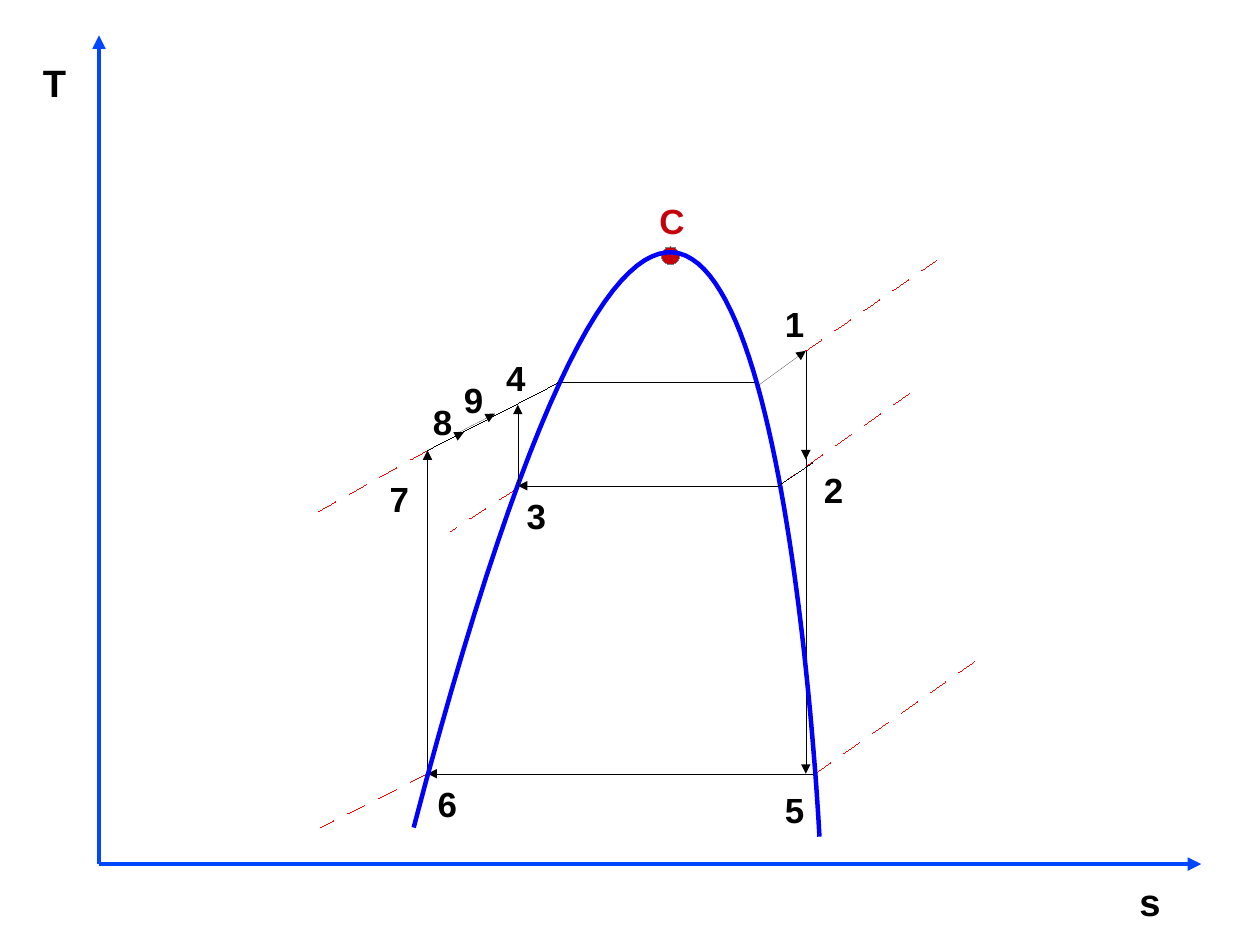
from lxml import etree
from pptx import Presentation
from pptx import util as u
from pptx.dml.color import RGBColor
from pptx.enum import shapes, text
from pptx.oxml.ns import qn

INK = {"axis": "0047FF", "dome": "0000FF", "iso": "FF0000",
       "black": "000000", "crit": "C5000B", "rim": "808080"}


class Chart:
    font = "Arial"
    bold = 2.83
    hair = 0

    def __init__(self, slide):
        self.shapes = slide.shapes

    def color(self, name):
        return RGBColor.from_string(INK[name])

    def stroke(self, shape, ink, width):
        shape.line.color.rgb = self.color(ink)
        ln = shape._element.spPr.find(qn("a:ln"))
        ln.set("w", str(int(u.Pt(width))))
        return ln

    def line(self, start, end, ink="black", width=hair, tip=False, dash=False):
        line = self.shapes.add_connector(
            shapes.MSO_CONNECTOR.STRAIGHT, *map(u.Pt, start + end))
        ln = self.stroke(line, ink, width)
        if dash:
            cust = etree.SubElement(ln, qn("a:custDash"))
            etree.SubElement(cust, qn("a:ds"), d="1600000", sp="1300000")
        if tip:
            etree.SubElement(ln, qn("a:tailEnd"), type="triangle")
        etree.SubElement(line._element.spPr, qn("a:effectLst"))

    def label(self, word, left, top, width=26.6, height=31.7, size=22, ink="black"):
        box = self.shapes.add_textbox(*map(u.Pt, (left, top, width, height)))
        frame = box.text_frame
        frame.word_wrap = False
        frame.auto_size = text.MSO_AUTO_SIZE.SHAPE_TO_FIT_TEXT
        frame.text = word
        font = frame.paragraphs[0].runs[0].font
        font.name, font.size, font.bold = self.font, u.Pt(size), True
        font.color.rgb = self.color(ink)

    def dot(self, left, top, size, ink, rim):
        dot = self.shapes.add_shape(
            shapes.MSO_SHAPE.OVAL, *map(u.Pt, (left, top, size, size)))
        dot.shadow.inherit = False
        dot.fill.solid()
        dot.fill.fore_color.rgb = self.color(ink)
        self.stroke(dot, rim, self.hair)

    def curve(self, start, bend, end, ink, steps=80):
        def point(t):
            return tuple(u.Pt((1 - t) ** 3 * a + 3 * t * (1 - t) ** 2 * b
                              + (3 * t * t * (1 - t) + t ** 3) * c)
                         for a, b, c in zip(start, bend, end))

        points = [point(i / steps) for i in range(steps + 1)]
        build = self.shapes.build_freeform(*points[0])
        build.add_line_segments(points[1:], close=False)
        dome = build.convert_to_shape()
        dome.shadow.inherit = False
        dome.fill.background()
        self.stroke(dome, ink, self.bold)


def main():
    deck = Presentation()
    deck.slide_width, deck.slide_height = u.Pt(793.7), u.Pt(595.28)
    chart = Chart(deck.slides.add_slide(deck.slide_layouts[6]))

    zero = (62.4, 544.3)
    for end in ((62.4, 22.3), (756.7, 544.3)):
        chart.line(zero, end, "axis", chart.bold, tip=True)

    one, three = (507.6, 221), (326.2, 306)
    five, six, seven = (507.6, 487.4), (269.3, 487.4), (269.3, 283.7)
    boil, dew = (351.4, 241.2), (475.9, 241.2)
    vapor, steam = (490.3, 306), (513.4, 487.4)

    for start, end in ((six, (201.6, 521.3)), ((324.7, 308.2), (283.7, 334.8)),
                       (steam, (617.8, 414)), (one, (589.7, 164.2)),
                       (seven, (198.7, 323.3)), (vapor, (578.2, 244.1))):
        chart.line(start, end, "iso", dash=True)

    for start, end in (((475.9, 244.1), one), (steam, six), (six, seven),
                       ((507.6, 226.8), (507.6, 289.4)), (vapor, three),
                       (one, five)):
        chart.line(start, end, tip=True)
    chart.line(boil, dew)

    chart.dot(416.6, 155.4, 11.5, "crit", "rim")
    chart.curve((260.6, 521.3), (475.9, -297.4), (516.2, 527), "dome")

    chart.line(boil, seven)
    chart.line(vapor, (511.9, 291.6))
    for start, end in ((three, (326.2, 254.9)), (seven, (292.3, 272.2)),
                       ((289.4, 272.2), (311.8, 260.6))):
        chart.line(start, end, tip=True)

    chart.label("T", 20, 33.8, 28.8, 33.8, 24)
    chart.label("s", 710.6, 550.1, 27.4, 33.8, 24)
    chart.label("C", 408.2, 121.9, 30.2, ink="crit")
    for word, left, top in (("1", 487.4, 187.2), ("2", 511.9, 291.6),
                            ("3", 324.7, 308.2), ("4", 311.8, 221),
                            ("5", 487.4, 493.2), ("6", 268.6, 489.6),
                            ("7", 238.3, 297.4), ("8", 265.7, 249.1),
                            ("9", 285.1, 234.7)):
        chart.label(word, left, top)

    deck.save("out.pptx")


if __name__ == "__main__":
    main()
